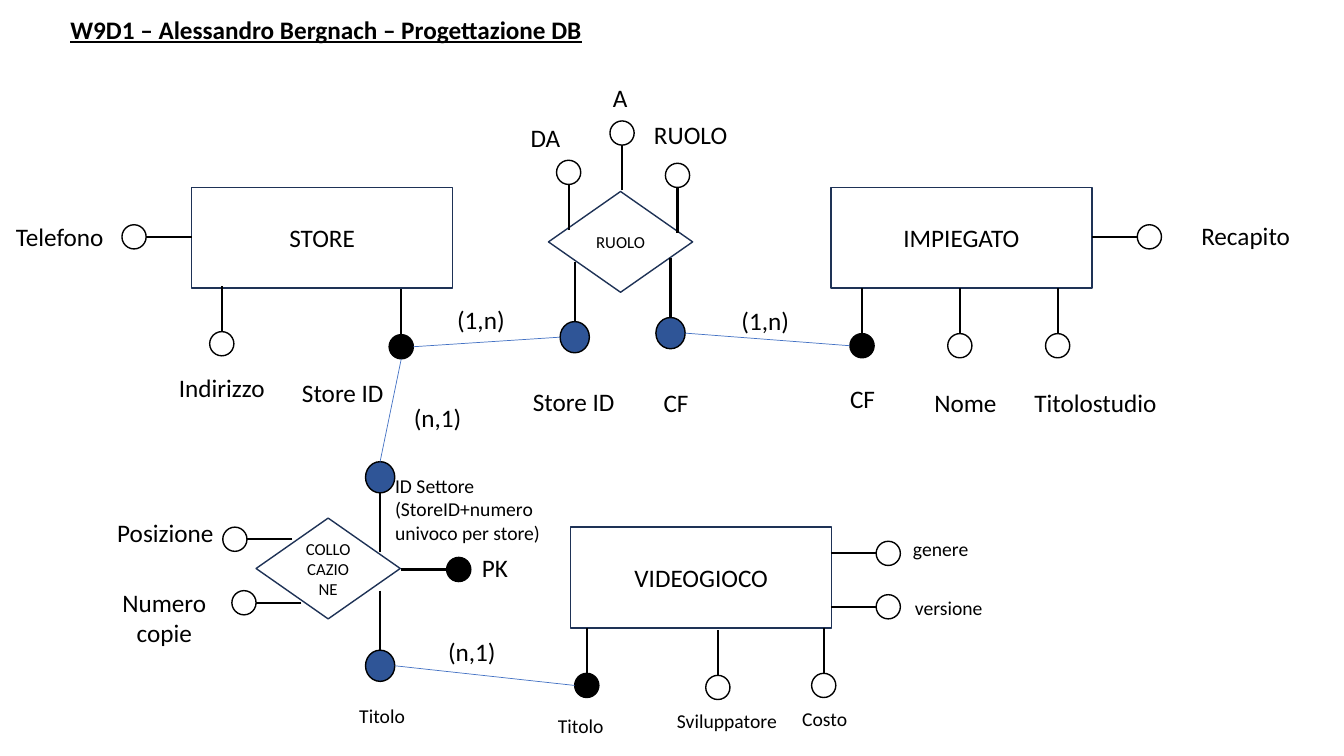
from pptx import Presentation
from pptx import util as u
from pptx.dml.color import RGBColor
from pptx.enum import shapes, text
from pptx.oxml.ns import qn
from lxml import etree

BLACK = RGBColor(0, 0, 0)
WHITE = RGBColor(255, 255, 255)
NAVY = RGBColor(0x1E, 0x32, 0x56)
BLUE = RGBColor(0x2F, 0x55, 0x97)
LINK = RGBColor(0x44, 0x72, 0xC4)
FONT = "Calibri"
SHAPE = shapes.MSO_SHAPE

TITLE = "W9D1 – Alessandro Bergnach – Progettazione DB"

# text, left, top
ENTITIES = [("STORE", 1.9, 1.86), ("IMPIEGATO", 8.24, 1.86), ("VIDEOGIOCO", 5.66, 5.23)]
RELATIONS = [("RUOLO", 5.44, 1.9), ("COLLOCAZIONE", 2.54, 5.14)]

# kind: fill, stem length, width, height
KINDS = {
    "plain": (WHITE, 0.45, 0.24, 0.24),
    "key": (BLACK, 0.45, 0.24, 0.24),
    "foreign": (BLUE, 0.59, 0.29, 0.31),
}
DIRECTIONS = {"up": (0, -1), "down": (0, 1), "left": (-1, 0), "right": (1, 0)}

# name: kind, direction, x and y where the stem starts
ATTRIBUTES = {
    "store id": ("key", "down", 3.98, 2.87),
    "indirizzo": ("plain", "down", 2.2, 2.84),
    "telefono": ("plain", "left", 1.9, 2.35),
    "cf": ("key", "down", 8.55, 2.86),
    "nome": ("plain", "down", 9.52, 2.86),
    "titolo studio": ("plain", "down", 10.49, 2.86),
    "recapito": ("plain", "right", 10.83, 2.35),
    "ruolo cf": ("foreign", "down", 6.65, 2.56),
    "ruolo store id": ("foreign", "down", 5.7, 2.6),
    "da": ("plain", "up", 5.64, 2.28),
    "a": ("plain", "up", 6.17, 1.89),
    "ruolo": ("plain", "up", 6.72, 2.31),
    "titolo": ("key", "down", 5.82, 6.23),
    "sviluppatore": ("plain", "down", 7.12, 6.25),
    "costo": ("plain", "down", 8.17, 6.23),
    "genere": ("plain", "right", 8.24, 5.49),
    "versione": ("plain", "right", 8.24, 6.02),
    "id settore": ("foreign", "up", 3.77, 5.48),
    "collocazione titolo": ("foreign", "down", 3.77, 5.86),
    "posizione": ("plain", "left", 2.9, 5.35),
    "numero copie": ("plain", "left", 2.99, 5.98),
    "pk": ("key", "right", 3.98, 5.65),
}

# attribute and side at each end
LINKS = [
    ("ruolo cf", "right", "cf", "left"),
    ("store id", "right", "ruolo store id", "left"),
    ("store id", "down", "id settore", "up"),
    ("titolo", "left", "collocazione titolo", "right"),
]

# text, left, top, width
LARGE_LABELS = [
    ("Store ID", 2.88, 3.69, 1.04), ("Indirizzo", 1.5, 3.64, 1.4),
    ("CF", 7.72, 3.75, 1.67), ("Nome", 9.13, 3.79, 0.89),
    ("Titolostudio", 10.03, 3.79, 1.67), ("Recapito", 11.52, 2.14, 1.67),
    ("CF", 5.87, 3.79, 1.67), ("Store ID", 4.99, 3.78, 1.4),
    ("DA", 4.71, 1.16, 1.4), ("A", 5.45, 0.77, 1.4), ("RUOLO", 6.15, 1.13, 1.4),
    ("(1,n)", 4.07, 2.97, 1.4), ("(1,n)", 6.89, 2.98, 1.4),
    ("Posizione", 0.94, 5.08, 1.4), ("Numero copie", 0.93, 5.78, 1.4),
    ("PK", 4.21, 5.43, 1.4), ("(n,1)", 3.64, 3.94, 1.4), ("(n,1)", 3.98, 6.26, 1.4),
]
SMALL_LABELS = [
    ("Titolo", 5.06, 7.03, 1.4), ("Sviluppatore", 6.51, 6.98, 1.4),
    ("Costo", 7.48, 6.96, 1.4), ("genere", 8.63, 5.28, 1.4),
    ("versione", 8.71, 5.86, 1.4), ("Titolo", 3.09, 6.93, 1.4),
]
ID_NOTE = "ID Settore (StoreID+numero univoco per store)"


def write(tf, words, size, align, bold=False):
    """Put one run of black text in a text frame."""
    tf.word_wrap = True
    p = tf.paragraphs[0]
    p.alignment = align
    r = p.add_run()
    r.text = words
    r.font.name, r.font.size, r.font.color.rgb = FONT, u.Pt(size), BLACK
    if bold:
        r.font.bold = r.font.underline = True


def add_label(s, words, x, y, w, size=18, h=0.4, align=text.PP_ALIGN.CENTER, bold=False):
    """Add a text box."""
    tf = s.shapes.add_textbox(*map(u.Inches, (x, y, w, h))).text_frame
    write(tf, words, size, align, bold)


def add_outline(s, preset, x, y, w, h, fill, line):
    """Add a flat preset shape with a 1 pt line."""
    sp = s.shapes.add_shape(preset, *map(u.Inches, (x, y, w, h)))
    sp.shadow.inherit = False
    sp.fill.solid()
    sp.fill.fore_color.rgb = fill
    sp.line.color.rgb, sp.line.width = line, u.Pt(1)
    return sp


def add_box(s, preset, words, x, y, w, size):
    """Add an entity or relation with its name."""
    sp = add_outline(s, preset, x, y, w, 1, WHITE, NAVY)
    sp.text_frame.vertical_anchor = text.MSO_ANCHOR.MIDDLE
    write(sp.text_frame, words, size, text.PP_ALIGN.CENTER)


def add_line(s, start, end, color, width):
    """Add a straight connector without shadow."""
    cn = s.shapes.add_connector(shapes.MSO_CONNECTOR.STRAIGHT,
                                *map(u.Inches, (*start, *end)))
    cn.line.color.rgb, cn.line.width = color, u.Pt(width)
    etree.SubElement(cn._element.spPr, qn("a:effectLst"))


def add_attribute(s, kind, direction, x, y):
    """Add a stem with its circle; return the circle's centre and size."""
    fill, stem, w, h = KINDS[kind]
    dx, dy = DIRECTIONS[direction]
    end = x + dx * stem, y + dy * stem
    cx, cy = end[0] + dx * w / 2, end[1] + dy * h / 2
    add_line(s, (x, y), end, BLACK, 1.5)
    add_outline(s, SHAPE.OVAL, cx - w / 2, cy - h / 2, w, h, fill, BLACK)
    return cx, cy, w, h


def edge(circle, side):
    """Return the point on one side of a circle."""
    cx, cy, w, h = circle
    dx, dy = DIRECTIONS[side]
    return cx + dx * w / 2, cy + dy * h / 2


prs = Presentation()
prs.slide_width, prs.slide_height = u.Inches(13.33), u.Inches(7.5)
s = prs.slides.add_slide(prs.slide_layouts[6])

LEFT = text.PP_ALIGN.LEFT
add_label(s, TITLE, 0.6, 0.09, 6.33, align=LEFT, bold=True)
for name, x, y in ENTITIES:
    add_box(s, SHAPE.RECTANGLE, name, x, y, 2.59, 18)
for name, x, y in RELATIONS:
    add_box(s, SHAPE.DIAMOND, name, x, y, 1.43, 12)

circles = {name: add_attribute(s, *row) for name, row in ATTRIBUTES.items()}
for first, side, second, other_side in LINKS:
    add_line(s, edge(circles[first], side), edge(circles[second], other_side), LINK, 0.5)

for label in LARGE_LABELS:
    add_label(s, *label)
for label in SMALL_LABELS:
    add_label(s, *label, size=14, h=0.34)
add_label(s, "Telefono", 0.06, 2.15, 1.16, align=LEFT)
add_label(s, ID_NOTE, 3.82, 4.65, 1.74, size=14, h=0.81, align=LEFT)

prs.save("out.pptx")
